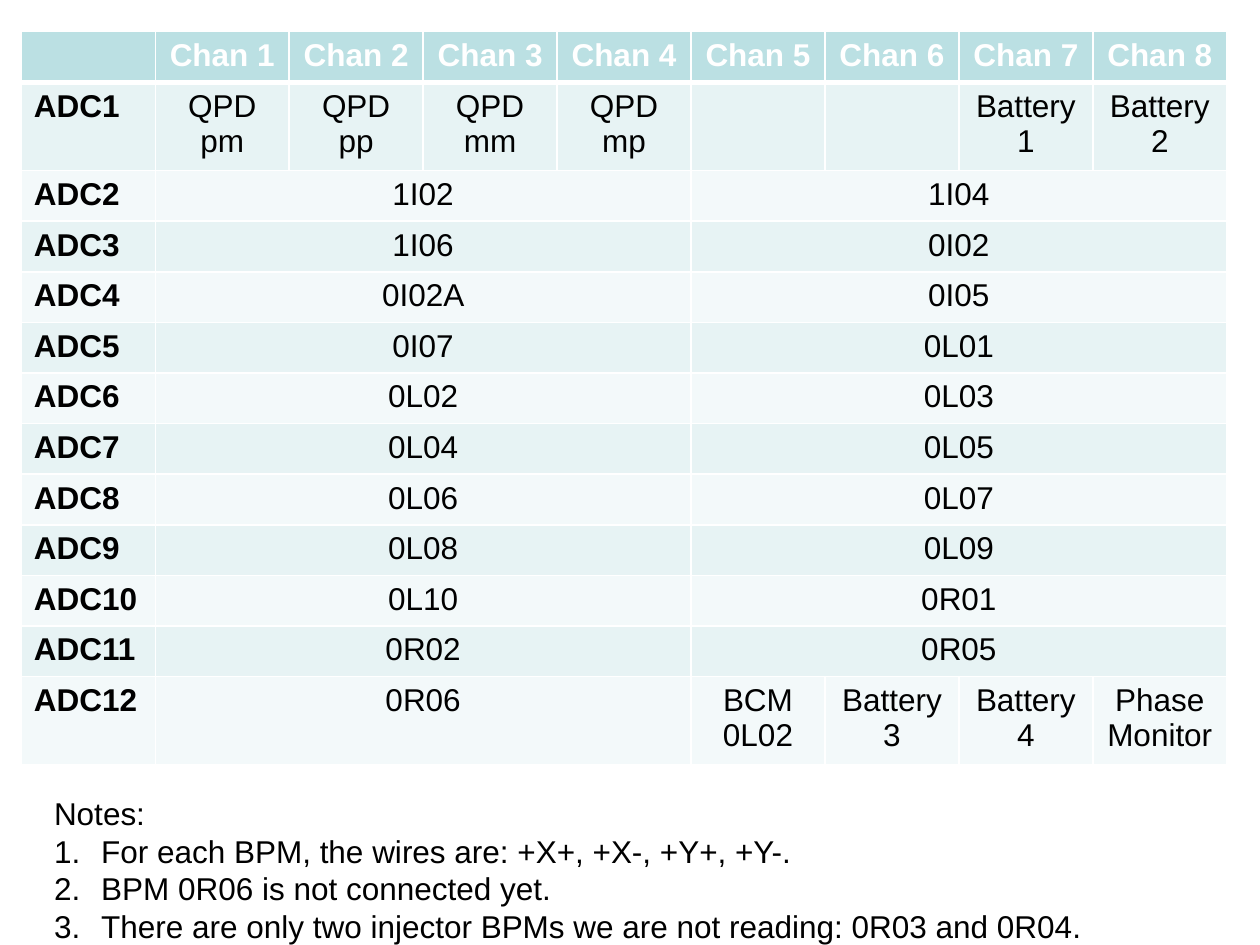
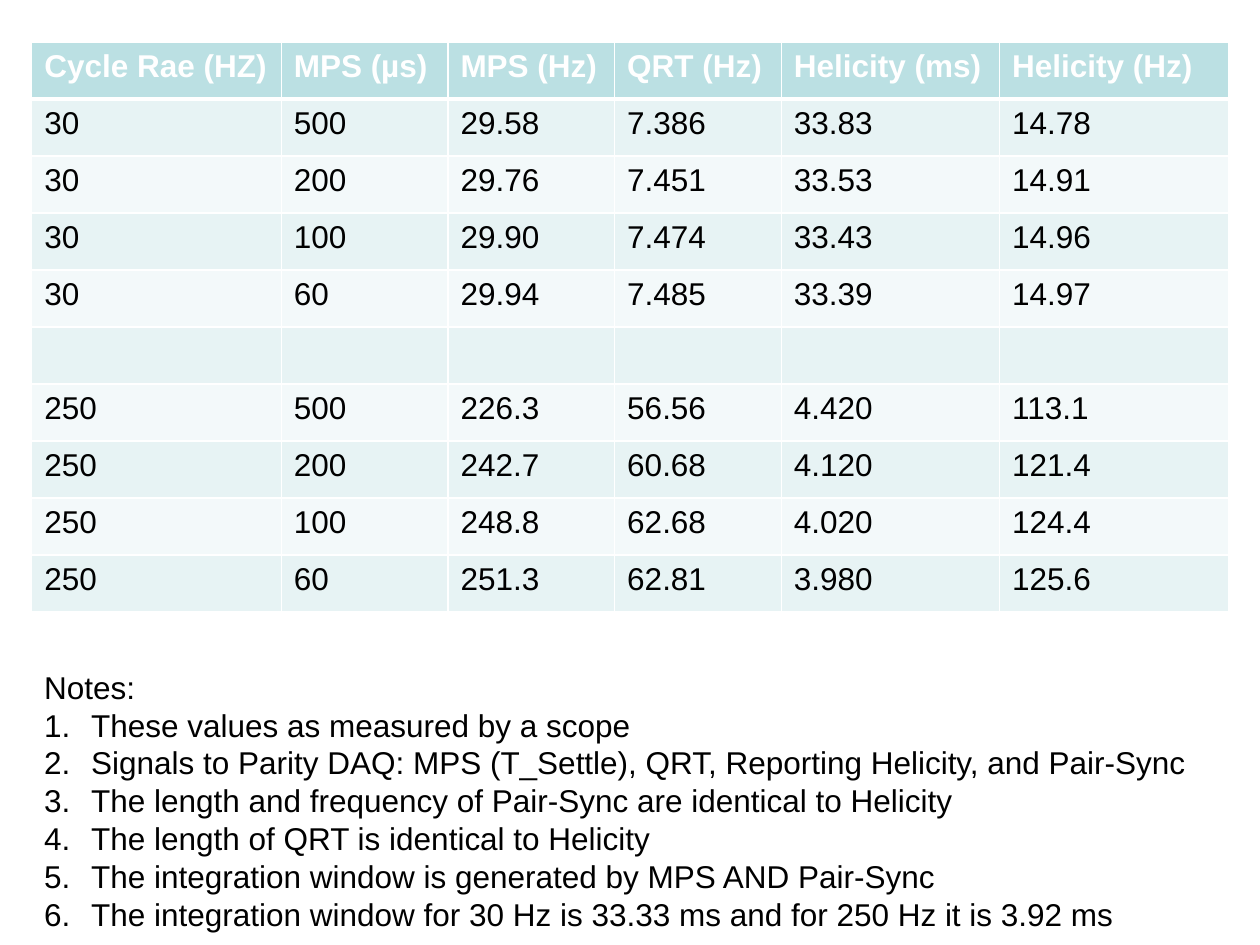
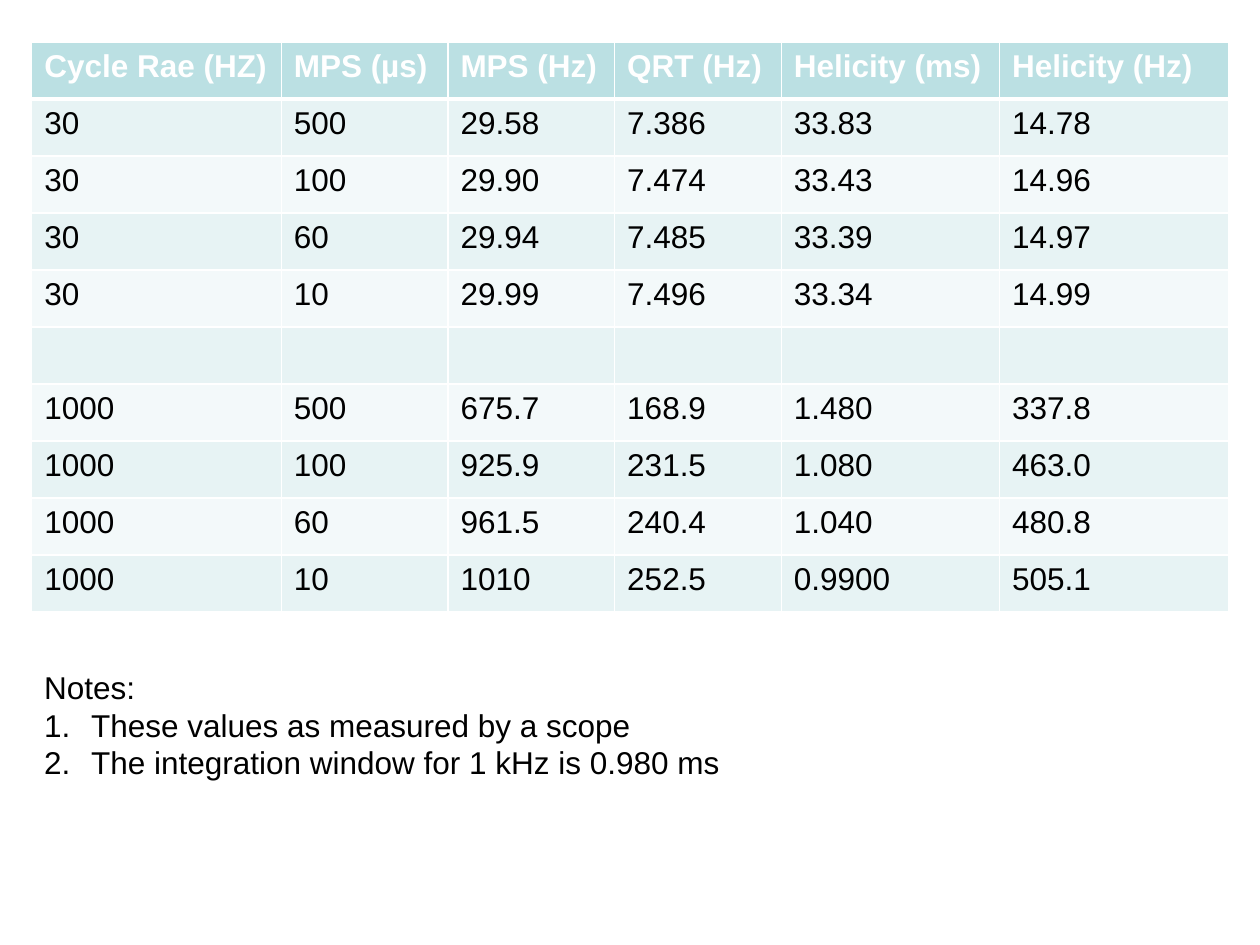
from dataclasses import dataclass

from lxml import etree
from pptx import Presentation
from pptx.dml.color import RGBColor
from pptx.enum.text import MSO_AUTO_SIZE, PP_ALIGN
from pptx.oxml.ns import qn
from pptx.util import Cm, Pt

LEFT, CENTER = PP_ALIGN.LEFT, PP_ALIGN.CENTER
GROW = MSO_AUTO_SIZE.SHAPE_TO_FIT_TEXT
BLANK_LAYOUT = 6


@dataclass(frozen=True)
class Theme:
    font: str = "Arial"
    size: int = 18
    text: str = "000000"
    header_text: str = "FFFFFF"
    header_fill: str = "BBE0E3"
    bands: tuple = ("E7F3F4", "F3F9FA")
    border: str = "FFFFFF"
    thin: int = 1
    thick: int = 3


THEME = Theme()

# In a row, None joins a cell to the one on its left.
CHANNEL_HEADER = [""] + [f"Chan {number}" for number in range(1, 9)]
QPD_ROW = ["ADC1", "QPD pm", "QPD pp", "QPD mm", "QPD mp", "", "", "Battery1", "Battery 2"]
BPM_PAIRS = [
    ("1I02", "1I04"), ("1I06", "0I02"), ("0I02A", "0I05"), ("0I07", "0L01"),
    ("0L02", "0L03"), ("0L04", "0L05"), ("0L06", "0L07"), ("0L08", "0L09"),
    ("0L10", "0R01"), ("0R02", "0R05"),
]
JOINED = [None] * 3
MONITOR_ROW = ["ADC12", "0R06", *JOINED, "BCM\n0L02", "Battery 3", "Battery 4", "Phase Monitor"]
CHANNEL_NOTES = [
    "For each BPM, the wires are: +X+, +X-, +Y+, +Y-.",
    "BPM 0R06 is not connected yet.",
    "There are only two injector BPMs we are not reading: 0R03 and 0R04.",
]

TIMING_HEADER = ["Cycle Rae (HZ)", "MPS (µs)", "MPS (Hz)", "QRT (Hz)", "Helicity (ms)", "Helicity (Hz)"]
TIMING_WIDTHS = [5.03, 3.36, 3.36, 3.36, 4.4, 4.62]
EMPTY_ROW = [""] * len(TIMING_HEADER)
TIMING_250_HZ = [
    ["30", "500", "29.58", "7.386", "33.83", "14.78"],
    ["30", "200", "29.76", "7.451", "33.53", "14.91"],
    ["30", "100", "29.90", "7.474", "33.43", "14.96"],
    ["30", "60", "29.94", "7.485", "33.39", "14.97"],
    EMPTY_ROW,
    ["250", "500", "226.3", "56.56", "4.420", "113.1"],
    ["250", "200", "242.7", "60.68", "4.120", "121.4"],
    ["250", "100", "248.8", "62.68", "4.020", "124.4"],
    ["250", "60", "251.3", "62.81", "3.980", "125.6"],
]
NOTES_250_HZ = [
    "These values as measured by a scope",
    "Signals to Parity DAQ: MPS (T_Settle), QRT, Reporting Helicity, and Pair-Sync",
    "The length and frequency of Pair-Sync are identical to Helicity",
    "The length of QRT is identical to Helicity",
    "The integration window is generated by MPS AND Pair-Sync",
    "The integration window for 30 Hz is 33.33 ms and for 250 Hz it is 3.92 ms",
]
TIMING_1_KHZ = [
    ["30", "500", "29.58", "7.386", "33.83", "14.78"],
    ["30", "100", "29.90", "7.474", "33.43", "14.96"],
    ["30", "60", "29.94", "7.485", "33.39", "14.97"],
    ["30", "10", "29.99", "7.496", "33.34", "14.99"],
    EMPTY_ROW,
    ["1000", "500", "675.7", "168.9", "1.480", "337.8"],
    ["1000", "100", "925.9", "231.5", "1.080", "463.0"],
    ["1000", "60", "961.5", "240.4", "1.040", "480.8"],
    ["1000", "10", "1010", "252.5", "0.9900", "505.1"],
]
NOTES_1_KHZ = [
    "These values as measured by a scope",
    "The integration window for 1 kHz is 0.980 ms",
]


def style_font(para, color, bold=False):
    para.font.name = THEME.font
    para.font.size = Pt(THEME.size)
    para.font.bold = bold
    para.font.color.rgb = RGBColor.from_string(color)


def add_borders(cell, row_index):
    """Thin lines all round, with a thick one between header and body."""
    properties = cell._tc.get_or_add_tcPr()
    widths = {
        "a:lnL": THEME.thin,
        "a:lnR": THEME.thin,
        "a:lnT": THEME.thick if row_index == 1 else THEME.thin,
        "a:lnB": THEME.thick if row_index == 0 else THEME.thin,
    }
    for tag, width in widths.items():
        line = etree.SubElement(properties, qn(tag), w=str(Pt(width)))
        fill = etree.SubElement(line, qn("a:solidFill"))
        etree.SubElement(fill, qn("a:srgbClr"), val=THEME.border)


def fill_cell(cell, text, row_index, bold, alignment):
    is_header = row_index == 0
    add_borders(cell, row_index)
    cell.fill.solid()
    band = THEME.bands[(row_index - 1) % 2]
    cell.fill.fore_color.rgb = RGBColor.from_string(THEME.header_fill if is_header else band)
    cell.text = text
    for para in cell.text_frame.paragraphs:
        para.alignment = alignment
        style_font(para, THEME.header_text if is_header else THEME.text, bold or is_header)


def join_cells(table, row_index, values):
    start = 0
    for column in range(1, len(values) + 1):
        if column == len(values) or values[column] is not None:
            if column - start > 1:
                table.cell(row_index, start).merge(table.cell(row_index, column - 1))
            start = column


def add_grid(page, left, top, widths, heights, rows, labelled=False):
    """Draw a table in cm; a labelled one has bold row names and centred values."""
    table = page.shapes.add_table(
        len(rows), len(widths), Cm(left), Cm(top), Cm(sum(widths)), Cm(sum(heights))
    ).table
    for column, width in zip(table.columns, widths):
        column.width = Cm(width)
    for row_index, (values, height) in enumerate(zip(rows, heights)):
        table.rows[row_index].height = Cm(height)
        for column, value in enumerate(values):
            is_label = labelled and column == 0
            alignment = CENTER if labelled and not is_label else LEFT
            fill_cell(table.cell(row_index, column), value or "", row_index, is_label, alignment)
        join_cells(table, row_index, values)


def add_notes(page, left, top, notes):
    height = 0.25 + 0.77 * (len(notes) + 1)
    box = page.shapes.add_textbox(Cm(left), Cm(top), Cm(23.92), Cm(height))
    frame = box.text_frame
    frame.word_wrap = True
    frame.auto_size = GROW
    heading = frame.paragraphs[0]
    heading.text = "Notes:"
    style_font(heading, THEME.text)
    for note in notes:
        para = frame.add_paragraph()
        para.text = note
        properties = para._p.get_or_add_pPr()
        properties.set("marL", str(Cm(0.95)))
        properties.set("indent", str(-Cm(0.95)))
        etree.SubElement(properties, qn("a:buFont"), typeface="+mj-lt")
        etree.SubElement(properties, qn("a:buAutoNum"), type="arabicPeriod")
        style_font(para, THEME.text)


def add_page(deck):
    return deck.slides.add_slide(deck.slide_layouts[BLANK_LAYOUT])


def build_channel_page(deck):
    page = add_page(deck)
    pair_rows = [
        [f"ADC{number}", first, *JOINED, second, *JOINED]
        for number, (first, second) in enumerate(BPM_PAIRS, start=2)
    ]
    rows = [CHANNEL_HEADER, QPD_ROW, *pair_rows, MONITOR_ROW]
    heights = [1.78 if row in (QPD_ROW, MONITOR_ROW) else 1.02 for row in rows]
    add_notes(page, 0.84, 15.88, CHANNEL_NOTES)
    add_grid(page, 0.43, 0.64, [2.7] * len(CHANNEL_HEADER), heights, rows, labelled=True)


def build_timing_page(deck, timings, notes):
    page = add_page(deck)
    rows = [TIMING_HEADER, *timings]
    add_grid(page, 0.64, 0.85, TIMING_WIDTHS, [1.15] * len(rows), rows)
    add_notes(page, 0.64, 13.34, notes)


def main():
    deck = Presentation()
    deck.slide_width, deck.slide_height = Cm(25.4), Cm(19.05)
    build_channel_page(deck)
    build_timing_page(deck, TIMING_250_HZ, NOTES_250_HZ)
    build_timing_page(deck, TIMING_1_KHZ, NOTES_1_KHZ)
    deck.save("out.pptx")


if __name__ == "__main__":
    main()
